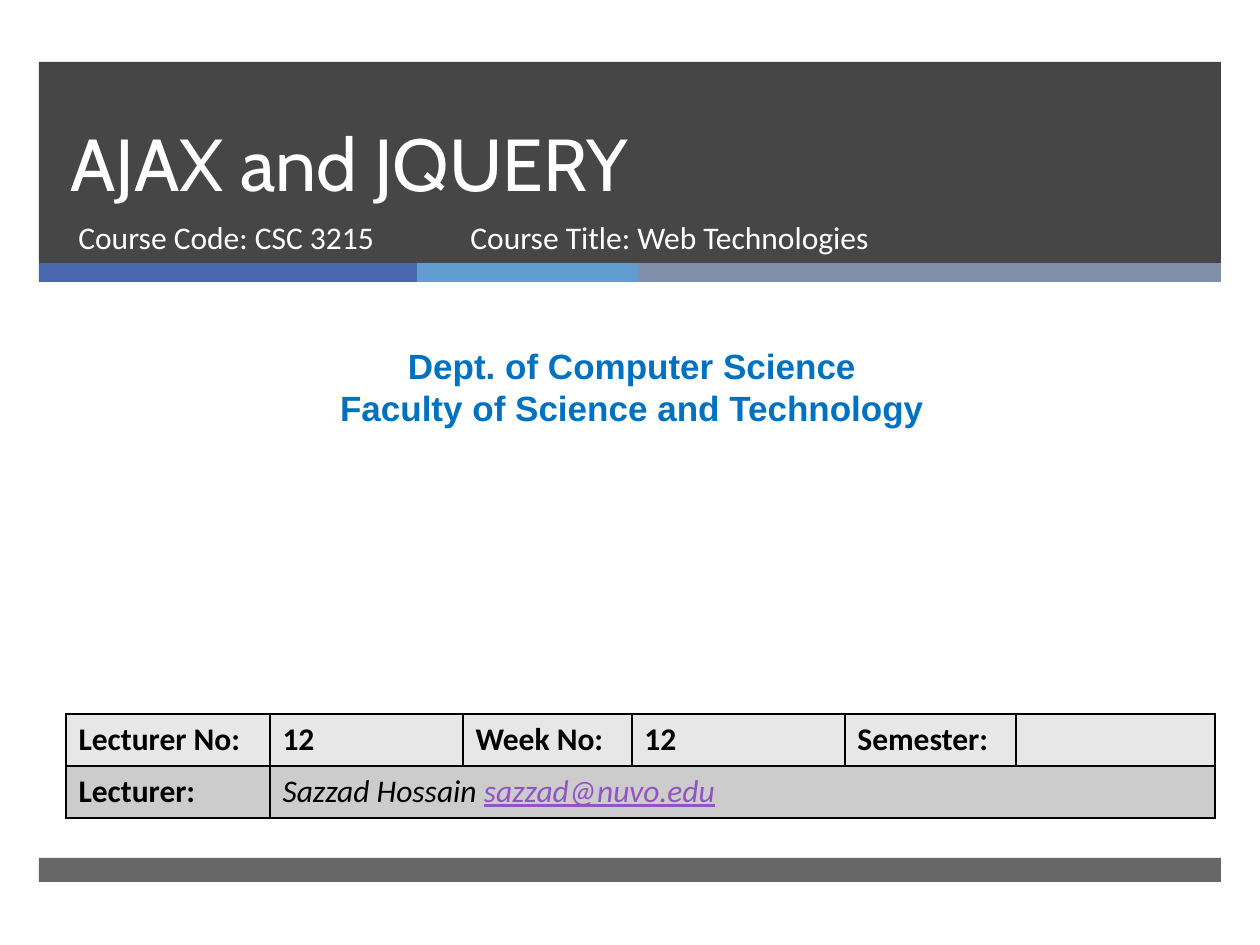
from itertools import product

from lxml import etree
from pptx import Presentation
from pptx.dml.color import RGBColor
from pptx.enum.shapes import MSO_SHAPE
from pptx.enum.text import MSO_ANCHOR, PP_ALIGN
from pptx.oxml.ns import qn
from pptx.util import Emu, Pt

RECTANGLE = MSO_SHAPE.RECTANGLE
TOP, BOTTOM = MSO_ANCHOR.TOP, MSO_ANCHOR.BOTTOM
LEFT, CENTER = PP_ALIGN.LEFT, PP_ALIGN.CENTER
PIXELS_PER_INCH = 126
CHARCOAL, WHITE, BLACK = "262626", "FFFFFF", "000000"
BLUE, PURPLE = "0070C0", "9454C3"
ROW_FILLS = ("E7E7E7", "CCCCCC")


def px(pixels):
    """Turn pixels into EMU."""
    return Emu(round(pixels * 914400 / PIXELS_PER_INCH))


def color(hex_code):
    """Turn a hex string into a colour."""
    return RGBColor.from_string(hex_code)


def add_bar(page, box, fill, opacity=100):
    """Add a plain rectangle, see-through if opacity is below 100."""
    bar = page.shapes.add_shape(RECTANGLE, *map(px, box))
    bar.shadow.inherit = False
    bar.line.fill.background()
    bar.fill.solid()
    bar.fill.fore_color.rgb = color(fill)
    if opacity < 100:
        tone = bar.fill._xPr.find(".//" + qn("a:srgbClr"))
        etree.SubElement(tone, qn("a:alpha")).set("val", str(opacity * 1000))


def add_span(para, text, size, font="Calibri", ink=BLACK,
             bold=False, italic=False, underline=False):
    """Add one run of text to a paragraph."""
    span = para.add_run()
    span.text = text
    span.font.size = Pt(size)
    span.font.name = font
    span.font.bold = bold
    span.font.italic = italic
    span.font.underline = underline
    span.font.color.rgb = color(ink)


def add_text(page, box, lines, size, font="Calibri", ink=WHITE, bold=False,
             align=LEFT, anchor=TOP, spacing=None):
    """Add a wrapping text box with one paragraph per line."""
    frame = page.shapes.add_textbox(*map(px, box)).text_frame
    frame.word_wrap = True
    frame.vertical_anchor = anchor
    for index, line in enumerate(lines):
        para = frame.add_paragraph() if index else frame.paragraphs[0]
        para.alignment = align
        if spacing:
            para.line_spacing = Pt(spacing)
        add_span(para, line, size, font, ink, bold)


def add_header(page, box):
    """Add the dark title band, its colour strip and the course details."""
    left, top, width, height = box
    add_bar(page, (left, top, width, height), CHARCOAL, 85)
    strip_left = left
    for strip_width, fill in ((378, "4A66AC"), (221, "629DD1"), (583, "7F8FA9")):
        add_bar(page, (strip_left, top + height - 1, strip_width, 19), fill)
        strip_left += strip_width
    add_text(page, (left + 19, top, 1076, 150), ["AJAX and JQUERY"], 42,
             "Cabin", anchor=BOTTOM, spacing=46)
    details = ((27, 384, "Course Code: CSC 3215"),
               (419, 573, "Course Title: Web Technologies"))
    for offset, detail_width, detail in details:
        add_text(page, (left + offset, top + 150, detail_width, 67), [detail], 18)


def style_cell(cell, fill):
    """Fill a cell and draw thin black borders around it."""
    cell.fill.solid()
    cell.fill.fore_color.rgb = color(fill)
    properties = cell._tc.get_or_add_tcPr()
    for index, side in enumerate(("a:lnL", "a:lnR", "a:lnT", "a:lnB")):
        border = etree.Element(qn(side), w=str(Pt(1)))
        solid = etree.SubElement(border, qn("a:solidFill"))
        etree.SubElement(solid, qn("a:srgbClr"), val=BLACK)
        properties.insert(index, border)


def add_lecture_table(page, box, column_widths):
    """Add the table of lecture number, week, semester and lecturer."""
    left, top, width, height = box
    columns = len(column_widths)
    table = page.shapes.add_table(2, columns, *map(px, box)).table
    for column, column_width in zip(table.columns, column_widths):
        column.width = px(column_width)
    for row in table.rows:
        row.height = px(height / 2)
    for row, column in product(range(2), range(columns)):
        style_cell(table.cell(row, column), ROW_FILLS[row])
    table.cell(1, 1).merge(table.cell(1, columns - 1))

    labels = (("Lecturer No:", "12", "Week No:", "12", "Semester:"),
              ("Lecturer:",))
    for row, texts in enumerate(labels):
        for column, text in enumerate(texts):
            para = table.cell(row, column).text_frame.paragraphs[0]
            add_span(para, text, 18, bold=True)
    para = table.cell(1, 1).text_frame.paragraphs[0]
    add_span(para, "Sazzad Hossain ", 18, italic=True)
    add_span(para, "sazzad@nuvo.edu", 18, ink=PURPLE, italic=True, underline=True)


def build_title_page(deck):
    """Build the course title page."""
    page = deck.slides.add_slide(deck.slide_layouts[6])
    add_header(page, (39, 62, 1182, 202))
    add_bar(page, (39, 858, 1182, 24), CHARCOAL, 70)
    add_text(page, (10, 338, 1244, 97),
             ["Dept. of Computer Science", "Faculty of Science and Technology"],
             20, "Arial", BLUE, bold=True, align=CENTER)
    add_lecture_table(page, (66, 714, 1149, 104), (204, 193, 169, 213, 171, 199))


deck = Presentation()
deck.slide_width, deck.slide_height = px(1260), px(945)
build_title_page(deck)
deck.save("out.pptx")
